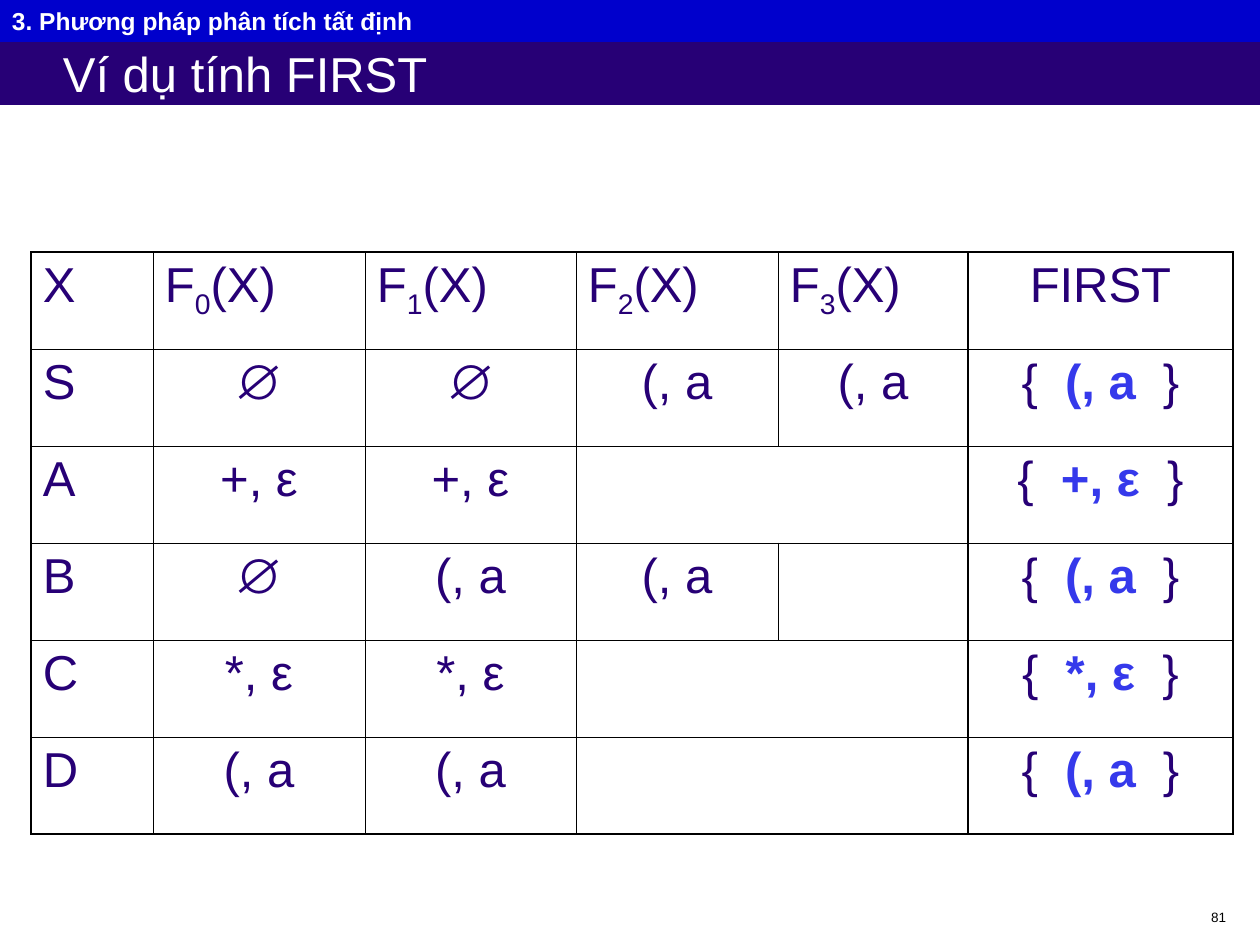
from dataclasses import dataclass

from lxml.etree import SubElement
from pptx import Presentation
from pptx.dml.color import RGBColor
from pptx.enum.shapes import MSO_SHAPE as Shape
from pptx.enum.text import MSO_ANCHOR as Anchor, PP_ALIGN as Align
from pptx.oxml.ns import qn
from pptx.util import Emu, Pt

COLORS = {
    "indigo": "270076",
    "blue": "0000CC",
    "accent": "3539EB",
    "white": "FFFFFF",
    "black": "000000",
}
EMU_PER_PX = 914400 / 126
FONT = "Arial"
MARGIN_X, MARGIN_Y = 12, 6
THIN, THICK = 0.45, 1.08


@dataclass(frozen=True)
class Span:
    text: str
    color: str = "indigo"
    size: float = 28
    bold: bool = False
    subscript: bool = False


@dataclass(frozen=True)
class Band:
    top: int
    height: int
    fill: str
    inset: int
    inset_y: int
    anchor: Anchor
    span: Span


@dataclass(frozen=True)
class SymbolRow:
    symbol: str
    steps: tuple[str, ...]
    first: str
    merged: bool = False


BANDS = (
    Band(40, 65, "indigo", 63, 0, Anchor.MIDDLE,
         Span("Ví dụ tính FIRST", "white")),
    Band(0, 42, "blue", MARGIN_X, MARGIN_Y, Anchor.TOP,
         Span("3. Phương pháp phân tích tất định", "white", 14, True)),
)
COLUMN_WIDTHS = (122, 212, 211, 202, 190, 265)
ROW_HEIGHT = 97
STEP_COUNT = 4
FIRST_COLUMN = len(COLUMN_WIDTHS) - 1
MERGE_START, MERGE_END = 3, 4
ROWS = (
    SymbolRow("S", ("∅", "∅", "(, a", "(, a"), "(, a"),
    SymbolRow("A", ("+, ε", "+, ε"), "+, ε", True),
    SymbolRow("B", ("∅", "(, a", "(, a"), "(, a"),
    SymbolRow("C", ("*, ε", "*, ε"), "*, ε", True),
    SymbolRow("D", ("(, a", "(, a"), "(, a", True),
)


def px(value: int) -> Emu:
    return Emu(round(value * EMU_PER_PX))


def rgb(name: str) -> RGBColor:
    return RGBColor.from_string(COLORS[name])


def set_insets(frame, x: int, y: int) -> None:
    frame.margin_left = px(x)
    frame.margin_right = px(MARGIN_X)
    frame.margin_top = frame.margin_bottom = px(y)


def write(frame, spans: tuple[Span, ...], align: Align) -> None:
    para = frame.paragraphs[0]
    para.alignment = align
    for item in spans:
        span = para.add_run()
        span.text = item.text
        span.font.name = FONT
        span.font.size = Pt(item.size)
        span.font.bold = item.bold
        span.font.color.rgb = rgb(item.color)
        if item.subscript:
            span._r.get_or_add_rPr().set("baseline", "-25000")


def draw_band(page, band: Band) -> None:
    box = page.shapes.add_shape(
        Shape.RECTANGLE, 0, px(band.top), px(1260), px(band.height))
    box.shadow.inherit = False
    box.fill.solid()
    box.fill.fore_color.rgb = rgb(band.fill)
    box.line.fill.background()
    frame = box.text_frame
    frame.word_wrap = True
    frame.vertical_anchor = band.anchor
    set_insets(frame, band.inset, band.inset_y)
    write(frame, (band.span,), Align.LEFT)


def draw_page_number(page, number: str) -> None:
    box = page.shapes.add_textbox(px(976), px(903), px(262), px(30))
    box.text_frame.word_wrap = True
    set_insets(box.text_frame, MARGIN_X, MARGIN_Y)
    write(box.text_frame, (Span(number, "black", 7.7),), Align.RIGHT)


def set_borders(cell, row: int, column: int) -> None:
    last_row = len(ROWS)
    end = column + (cell.span_width if cell.is_merge_origin else 1)
    thick_edges = (0, FIRST_COLUMN, FIRST_COLUMN + 1)
    sides = {
        "a:lnL": column in thick_edges,
        "a:lnR": end in thick_edges,
        "a:lnT": row == 0,
        "a:lnB": row == last_row,
    }
    properties = cell._tc.get_or_add_tcPr()
    for tag, thick in sides.items():
        width = Pt(THICK if thick else THIN)
        line = SubElement(properties, qn(tag), w=str(width))
        fill = SubElement(line, qn("a:solidFill"))
        SubElement(fill, qn("a:srgbClr"), val=COLORS["black"])


def table_content() -> list[list[tuple[Span, ...]]]:
    header = [(Span("X"),)]
    for step in range(STEP_COUNT):
        header.append((Span("F"), Span(str(step), subscript=True), Span("(X)")))
    header.append((Span("FIRST"),))
    content = [header]
    for row in ROWS:
        steps = [(Span(text),) for text in row.steps]
        blanks = [()] * (STEP_COUNT - len(steps))
        result = (Span("{  "), Span(f"{row.first}  ", "accent", bold=True), Span("}"))
        content.append([(Span(row.symbol),), *steps, *blanks, result])
    return content


def draw_table(page) -> None:
    content = table_content()
    table = page.shapes.add_table(
        len(content), len(COLUMN_WIDTHS), px(31), px(252),
        px(sum(COLUMN_WIDTHS)), px(ROW_HEIGHT * len(content))).table
    table.first_row = table.horz_banding = False
    for column, width in zip(table.columns, COLUMN_WIDTHS):
        column.width = px(width)
    for line in table.rows:
        line.height = px(ROW_HEIGHT)
    for index, row in enumerate(ROWS, start=1):
        if row.merged:
            table.cell(index, MERGE_START).merge(table.cell(index, MERGE_END))
    for index, cells in enumerate(content):
        for column, spans in enumerate(cells):
            cell = table.cell(index, column)
            set_borders(cell, index, column)
            cell.fill.background()
            set_insets(cell, MARGIN_X, MARGIN_Y)
            centered = column == FIRST_COLUMN or (index > 0 and column > 0)
            write(cell.text_frame, spans, Align.CENTER if centered else Align.LEFT)


def main() -> None:
    deck = Presentation()
    deck.slide_width, deck.slide_height = px(1260), px(945)
    page = deck.slides.add_slide(deck.slide_layouts[6])
    draw_page_number(page, "81")
    for band in BANDS:
        draw_band(page, band)
    draw_table(page)
    deck.save("out.pptx")


if __name__ == "__main__":
    main()
